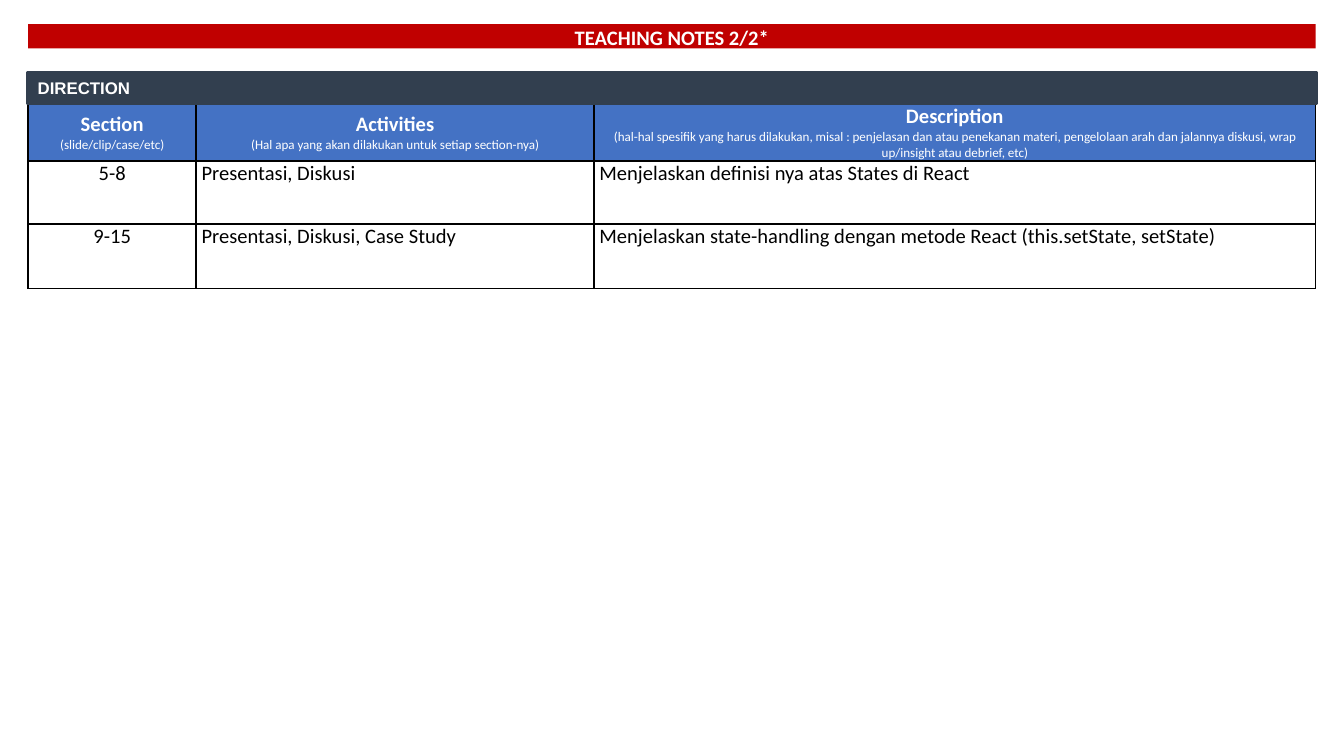
"""Build the teaching notes slide with its direction table."""
from dataclasses import dataclass

from lxml.etree import SubElement
from pptx import Presentation
from pptx.dml.color import RGBColor
from pptx.enum.shapes import MSO_SHAPE as Shape
from pptx.enum.text import MSO_ANCHOR as Anchor, PP_ALIGN as Align
from pptx.oxml.ns import qn
from pptx.slide import Slide
from pptx.table import _Cell as Cell
from pptx.text.text import _Paragraph as Paragraph
from pptx.util import Inches, Pt


@dataclass(frozen=True)
class Theme:
    white: str = "FFFFFF"
    black: str = "000000"
    red: str = "C00000"
    slate: str = "323F4F"
    blue: str = "4472C4"
    body_font: str = "Calibri"
    label_font: str = "Arial"
    body_size: float = 11
    label_size: float = 9
    hint_size: float = 7
    border_width: float = 1


@dataclass(frozen=True)
class Banner:
    text: str
    top: float
    height: float
    color: str
    font: str
    size: float
    align: Align
    line_spacing: float = 1.0
    outline: float = 0


@dataclass(frozen=True)
class Column:
    title: str
    hint: str
    width: float
    align: Align
    one_paragraph: bool = False


@dataclass(frozen=True)
class Activity:
    height: float
    texts: tuple[str, str, str]


THEME = Theme()
LEFT, WIDTH = 0.21, 9.58
TABLE_TOP, HEADER_HEIGHT = 0.77, 0.37

BANNERS = (
    Banner("TEACHING NOTES 2/2*", 0.18, 0.18, THEME.red, THEME.body_font,
           THEME.body_size, Align.CENTER, line_spacing=1.07),
    Banner("DIRECTION", 0.54, 0.23, THEME.slate, THEME.label_font,
           THEME.label_size, Align.LEFT, outline=2),
)
COLUMNS = (
    Column("Section", "(slide/clip/case/etc)", 1.25, Align.CENTER),
    Column("Activities", "(Hal apa yang akan dilakukan untuk setiap section-nya)",
           2.96, Align.LEFT),
    Column("Description",
           "(hal-hal spesifik yang harus dilakukan, misal : penjelasan dan atau "
           "penekanan materi, pengelolaan arah dan jalannya diskusi, wrap "
           "up/insight atau debrief, etc)", 5.37, Align.LEFT, one_paragraph=True),
)
ACTIVITIES = (
    Activity(0.47, ("5-8", "Presentasi, Diskusi",
                    "Menjelaskan definisi nya atas States di React")),
    Activity(0.48, ("9-15", "Presentasi, Diskusi, Case Study",
                    "Menjelaskan state-handling dengan metode React "
                    "(this.setState, setState)")),
)


def write(paragraph: Paragraph, text: str, size: float, color: str, align: Align,
          font: str = THEME.body_font, bold: bool = False) -> None:
    paragraph.text = text
    paragraph.alignment = align
    paragraph.font.name = font
    paragraph.font.size = Pt(size)
    paragraph.font.bold = bold
    paragraph.font.color.rgb = RGBColor.from_string(color)


def draw_banner(slide: Slide, banner: Banner) -> None:
    shape = slide.shapes.add_shape(Shape.RECTANGLE, Inches(LEFT), Inches(banner.top),
                                   Inches(WIDTH), Inches(banner.height))
    color = RGBColor.from_string(banner.color)
    shape.shadow.inherit = False
    shape.fill.solid()
    shape.fill.fore_color.rgb = color
    if banner.outline:
        shape.line.color.rgb = color
        shape.line.width = Pt(banner.outline)
    else:
        shape.line.fill.background()
    frame = shape.text_frame
    frame.word_wrap = True
    frame.vertical_anchor = Anchor.MIDDLE
    frame.margin_left = frame.margin_right = Inches(0.07)
    frame.margin_top = frame.margin_bottom = Inches(0.04)
    paragraph = frame.paragraphs[0]
    write(paragraph, banner.text, banner.size, THEME.white, banner.align,
          banner.font, bold=True)
    paragraph.line_spacing = banner.line_spacing


def style_cell(cell: Cell, fill: str, anchor: Anchor) -> None:
    cell.margin_left = cell.margin_right = Inches(0.04)
    cell.margin_top = cell.margin_bottom = 0
    cell.vertical_anchor = anchor
    properties = cell._tc.get_or_add_tcPr()
    for side in ("lnL", "lnR", "lnT", "lnB"):
        border = SubElement(properties, qn(f"a:{side}"), w=str(Pt(THEME.border_width)))
        SubElement(SubElement(border, qn("a:solidFill")), qn("a:srgbClr"),
                   val=THEME.black)
    cell.fill.solid()
    cell.fill.fore_color.rgb = RGBColor.from_string(fill)


def fill_header(cell: Cell, column: Column) -> None:
    style_cell(cell, THEME.blue, Anchor.MIDDLE)
    frame = cell.text_frame
    title = frame.paragraphs[0]
    write(title, column.title, THEME.body_size, THEME.white, Align.CENTER, bold=True)
    if column.one_paragraph:
        title.add_line_break()
        hint = title.add_run()
        hint.text = column.hint
        hint.font.size = Pt(THEME.hint_size)
        hint.font.bold = False
    else:
        write(frame.add_paragraph(), column.hint, THEME.hint_size, THEME.white,
              Align.CENTER)


def draw_table(slide: Slide, columns: tuple[Column, ...],
               activities: tuple[Activity, ...]) -> None:
    heights = [HEADER_HEIGHT, *(activity.height for activity in activities)]
    table = slide.shapes.add_table(len(heights), len(columns), Inches(LEFT),
                                   Inches(TABLE_TOP), Inches(WIDTH),
                                   Inches(sum(heights))).table
    for row, height in zip(table.rows, heights):
        row.height = Inches(height)
    for index, column in enumerate(columns):
        table.columns[index].width = Inches(column.width)
        fill_header(table.cell(0, index), column)
        for row_index, activity in enumerate(activities, start=1):
            cell = table.cell(row_index, index)
            style_cell(cell, THEME.white, Anchor.TOP)
            write(cell.text_frame.paragraphs[0], activity.texts[index],
                  THEME.body_size, THEME.black, column.align)


def main() -> None:
    presentation = Presentation()
    presentation.slide_width = Inches(10)
    presentation.slide_height = presentation.slide_width * 9 // 16
    slide = presentation.slides.add_slide(presentation.slide_layouts[6])
    draw_table(slide, COLUMNS, ACTIVITIES)
    for banner in BANNERS:
        draw_banner(slide, banner)
    presentation.save("out.pptx")


if __name__ == "__main__":
    main()
